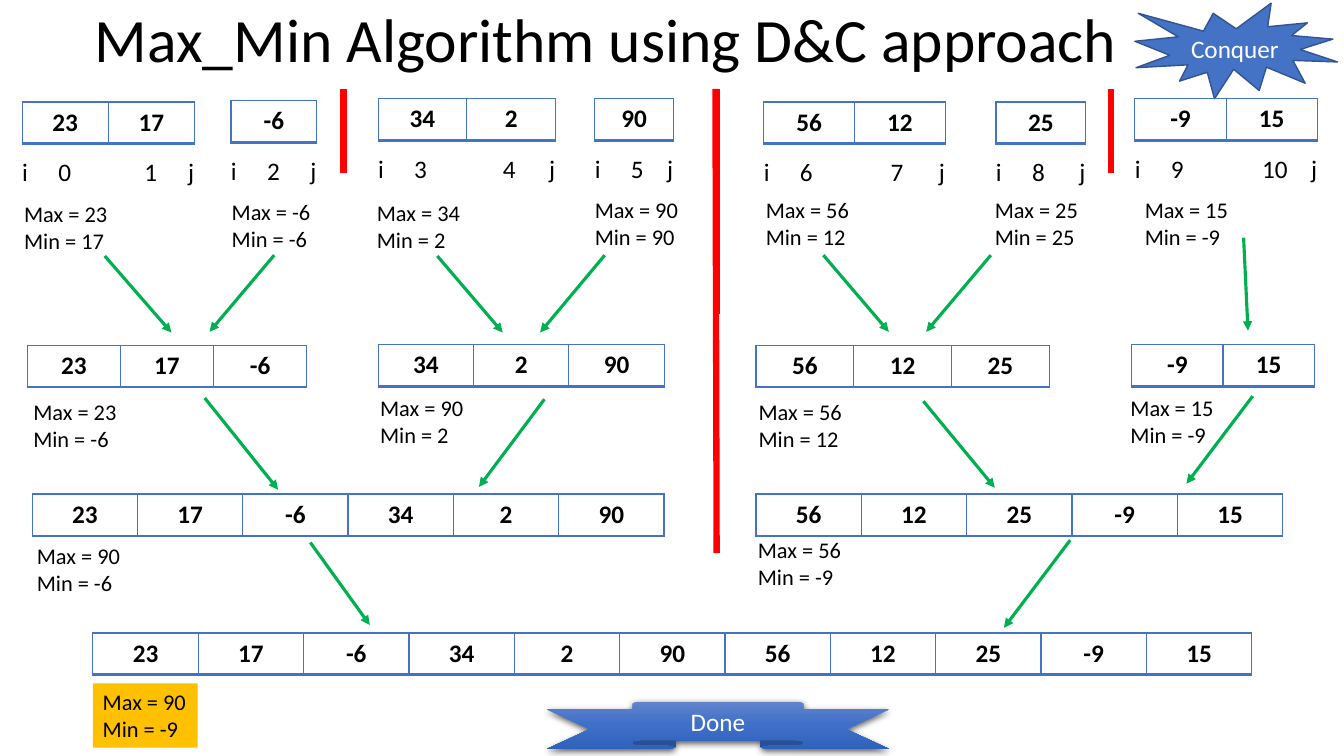
from copy import deepcopy

from lxml.etree import SubElement
from pptx import Presentation
from pptx.dml.color import RGBColor
from pptx.enum.shapes import MSO_CONNECTOR, MSO_SHAPE
from pptx.enum.text import MSO_ANCHOR, MSO_AUTO_SIZE, PP_ALIGN
from pptx.oxml.ns import qn
from pptx.util import Cm, Pt

COLORS = {
    "text": "000000", "light": "FFFFFF", "cell": "4472C4", "edge": "325491",
    "divider": "FF0000", "arrow": "00B050", "answer": "FFC000",
    "ribbon": ("6183CB", "3E70CA", "3062BB"),
}
ROW_H = 1.05

# Single calls: left, top, width, first index, values, offset of the result
LEAVES = [
    (0.56, 2.57, 4.34, 0, [23, 17], (-0.2, 2.34)),
    (5.82, 2.54, 2.16, 2, [-6], (-0.23, 2.34)),
    (9.53, 2.49, 4.47, 3, [34, 2], (-0.28, 2.41)),
    (14.99, 2.49, 1.98, 5, [90], (-0.25, 2.34)),
    (19.25, 2.57, 4.57, 6, [56, 12], (-0.2, 2.26)),
    (25.1, 2.57, 2.26, 8, [25], (-0.28, 2.26)),
    (28.6, 2.49, 4.6, 9, [-9, 15], (0, 2.34)),
]
# Merged calls: left, top, width, slice of the whole array, offset of the result
MERGED = [
    (0.69, 8.7, 7.04, 0, 3, (-0.1, 1.2)),
    (9.53, 8.69, 7.21, 3, 6, (-0.2, 1.12)),
    (19.05, 8.7, 7.39, 6, 9, (-0.18, 1.2)),
    (28.52, 8.69, 4.6, 9, 11, (-0.28, 1.12)),
    (0.81, 12.45, 15.93, 0, 6, (-0.13, 1.09)),
    (19.05, 12.45, 13.28, 6, 11, (-0.2, 0.94)),
    (2.34, 15.95, 29.21, 0, 11, (0, 1.27)),
]
ARROWS = [
    (2.64, 6.45, 4.32, 8.38), (6.91, 6.43, 5.28, 8.36),
    (11.02, 6.45, 12.67, 8.38), (15.24, 6.43, 13.61, 8.38),
    (20.75, 6.43, 22.4, 8.36), (24.97, 6.43, 23.34, 8.36),
    (31.34, 5.99, 31.45, 8.33),
    (5.16, 10.03, 7.01, 12.34), (13.72, 10.06, 12.07, 12.27),
    (23.27, 10.11, 25.07, 12.29), (31.57, 9.98, 29.9, 12.19),
    (7.82, 13.67, 9.32, 15.75), (26.97, 13.61, 25.3, 15.82),
]
DIVIDERS = [
    (8.66, 2.24, 8.66, 4.37), (27.99, 2.24, 27.99, 4.37),
    (18.06, 2.24, 18.06, 7.9), (18.03, 2.24, 18.06, 13.94),
]


def rgb(name):
    return RGBColor.from_string(COLORS[name])


def add_run(p, text, size, color="text", bold=False):
    r = p.add_run()
    r.text = str(text)
    r.font.name = "Calibri"
    r.font.size = Pt(size)
    r.font.bold = bold
    r.font.color.rgb = rgb(color)


def add_label(s, x, y, w, h, lines, size):
    sp = s.shapes.add_textbox(Cm(x), Cm(y), Cm(w), Cm(h))
    tf = sp.text_frame
    tf.word_wrap = False
    tf.auto_size = MSO_AUTO_SIZE.SHAPE_TO_FIT_TEXT
    for n, line in enumerate(lines):
        p = tf.add_paragraph() if n else tf.paragraphs[0]
        add_run(p, line, size)
    return sp


def add_line(s, ends, color, width, arrow=False):
    c = s.shapes.add_connector(MSO_CONNECTOR.STRAIGHT, *(Cm(v) for v in ends))
    c.line.color.rgb = rgb(color)
    c.line.width = Pt(width)
    if arrow:
        SubElement(c.line._get_or_add_ln(), qn("a:tailEnd"), type="triangle")
    SubElement(c._element.spPr, qn("a:effectLst"))


def add_borders(cell):
    tc_pr = cell._tc.get_or_add_tcPr()
    for side, width in (("L", 1), ("R", 1), ("T", 1), ("B", 2)):
        ln = SubElement(tc_pr, qn(f"a:ln{side}"), w=str(Pt(width)))
        fill = SubElement(ln, qn("a:solidFill"))
        SubElement(fill, qn("a:srgbClr"), val=COLORS["cell"])


# One-row table with its largest and smallest value underneath
def add_array(s, x, y, w, values, offset):
    frame = s.shapes.add_table(1, len(values), Cm(x), Cm(y), Cm(w), Cm(ROW_H))
    table = frame.table
    table.first_row = table.horz_banding = False
    for n, value in enumerate(values):
        table.columns[n].width = Cm(w / len(values))
        cell = table.cell(0, n)
        add_borders(cell)
        cell.fill.background()
        p = cell.text_frame.paragraphs[0]
        p.alignment = PP_ALIGN.CENTER
        add_run(p, value, 18, bold=True)
    lines = [f"Max = {max(values)}", f"Min = {min(values)}"]
    label_w = 2.51 if values == [-6] else 2.64
    return add_label(s, x + offset[0], y + offset[1], label_w, 1.62, lines, 16)


# Index row between the bounds i and j
def add_indices(s, x, y, w, first, count):
    marks = [("i", x - 0.25, 0.66), ("j", x + w - 0.41, 0.66)]
    for n in range(count):
        index = str(first + n)
        marks.append((index, x + n * w / count + 0.66, 0.52 + 0.32 * len(index)))
    for text, left, width in marks:
        add_label(s, left, y, width, 1.02, [text], 18)


def add_title(s, x, y, w, h):
    sp = s.shapes.title
    sp.left, sp.top, sp.width, sp.height = Cm(x), Cm(y), Cm(w), Cm(h)
    tf = sp.text_frame
    tf.auto_size = MSO_AUTO_SIZE.NONE
    tf.vertical_anchor = MSO_ANCHOR.MIDDLE
    p = tf.paragraphs[0]
    p.alignment = PP_ALIGN.LEFT
    p.line_spacing = 0.9
    add_run(p, "Max_Min Algorithm using D&C approach", 44)


def add_badge(s, kind, x, y, w, h, text):
    sp = s.shapes.add_shape(kind, Cm(x), Cm(y), Cm(w), Cm(h))
    sp.shadow.inherit = False
    tf = sp.text_frame
    tf.vertical_anchor = MSO_ANCHOR.MIDDLE
    p = tf.paragraphs[0]
    p.alignment = PP_ALIGN.CENTER
    add_run(p, text, 18, "light")
    return sp


def add_burst(s, x, y, w, h):
    sp = add_badge(s, MSO_SHAPE.EXPLOSION1, x, y, w, h, "Conquer")
    sp.fill.solid()
    sp.fill.fore_color.rgb = rgb("cell")
    sp.line.color.rgb = rgb("edge")
    sp.line.width = Pt(1)


def add_ribbon(s, x, y, w, h):
    sp = add_badge(s, MSO_SHAPE.UP_RIBBON, x, y, w, h, "Done")
    sp.line.fill.background()
    sp.fill.gradient()
    sp.fill.gradient_angle = 270
    stops = sp._element.spPr.find(qn("a:gradFill")).find(qn("a:gsLst"))
    stops.insert(1, deepcopy(stops[0]))
    for n, stop in enumerate(sp.fill.gradient_stops):
        stop.position = n / 2
        stop.color.rgb = RGBColor.from_string(COLORS["ribbon"][n])
    # Soft shadow below
    effects = sp._element.spPr.find(qn("a:effectLst"))
    shadow = SubElement(effects, qn("a:outerShdw"), blurRad=str(Pt(4.5)),
                        dist=str(Pt(1.5)), dir="5400000", rotWithShape="0")
    color = SubElement(shadow, qn("a:srgbClr"), val=COLORS["text"])
    SubElement(color, qn("a:alpha"), val="63000")


def main():
    prs = Presentation()
    prs.slide_width, prs.slide_height = Cm(33.87), Cm(19.05)
    s = prs.slides.add_slide(prs.slide_layouts[5])

    # Heading
    add_title(s, 2.13, -0.41, 29.21, 2.95)
    add_burst(s, 28.6, 0.08, 5.11, 2.41)

    # Arrays
    numbers = []
    for x, y, w, first, values, offset in LEAVES:
        add_array(s, x, y, w, values, offset)
        add_indices(s, x, y + 1.24, w, first, len(values))
        numbers += values
    for x, y, w, start, end, offset in MERGED:
        answer = add_array(s, x, y, w, numbers[start:end], offset)
    answer.fill.solid()
    answer.fill.fore_color.rgb = rgb("answer")

    # Dividers and merge arrows
    for ends in DIVIDERS:
        add_line(s, ends, "divider", 4.5)
    for ends in ARROWS:
        add_line(s, ends, "arrow", 2.25, arrow=True)

    add_ribbon(s, 13.79, 17.68, 8.61, 1.19)
    prs.save("out.pptx")


if __name__ == "__main__":
    main()
